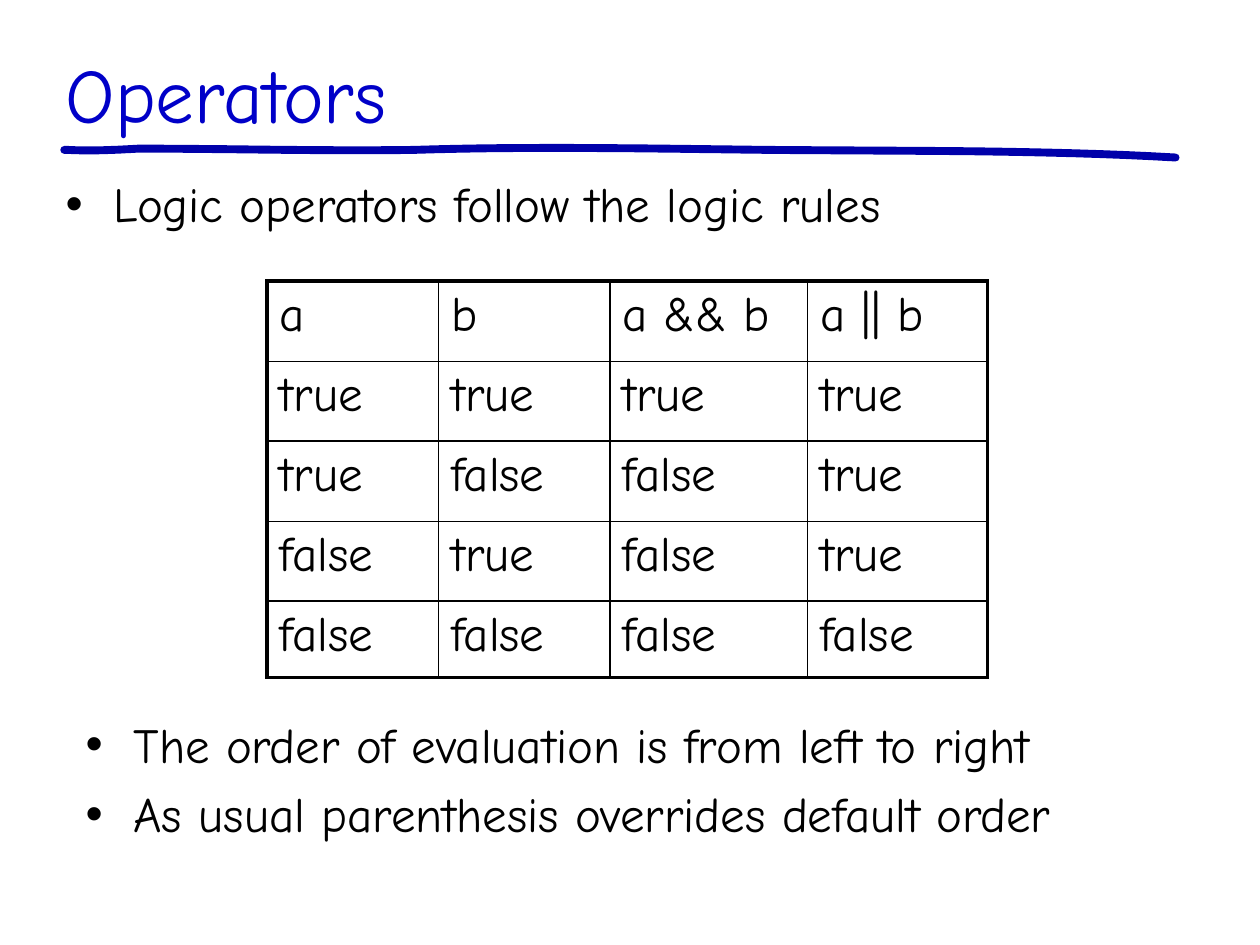
from lxml.etree import SubElement
from pptx import Presentation
from pptx.dml.color import RGBColor
from pptx.enum.text import MSO_ANCHOR, MSO_AUTO_SIZE, PP_ALIGN
from pptx.oxml.ns import qn
from pptx.util import Inches, Pt

COLORS = {"title": "0000C8", "rule": "0000AA", "ink": "000000"}
FONT = "Comic Neue"
BODY_SIZE = 28
THIN, THICK = 1, 2.25

TRUTH_TABLE = [
    ["a", "b", "a && b", "a || b"],
    ["true", "true", "true", "true"],
    ["true", "false", "false", "true"],
    ["false", "true", "false", "true"],
    ["false", "false", "false", "false"],
]
COLUMN_WIDTHS = [1.36, 1.36, 1.57, 1.43]
ROW_HEIGHTS = [0.64, 0.63, 0.64, 0.63, 0.61]

RULE_START = (0.51, 1.19)
RULE_CURVES = [
    [(0.52, 1.19), (0.52, 1.19), (0.54, 1.19)],
    [(0.73, 1.2), (0.91, 1.19), (1.1, 1.18)],
    [(1.83, 1.18), (2.55, 1.2), (3.28, 1.19)],
    [(4.23, 1.16), (5.17, 1.18), (6.12, 1.19)],
    [(7.2, 1.2), (8.27, 1.19), (9.33, 1.25)],
]


def place(holder, left, top, width, height):
    holder.left, holder.top = Inches(left), Inches(top)
    holder.width, holder.height = Inches(width), Inches(height)
    holder.text_frame.auto_size = MSO_AUTO_SIZE.NONE
    holder.text_frame.word_wrap = True


def add_text(paragraph, text, size=BODY_SIZE, color="ink"):
    paragraph.alignment = PP_ALIGN.LEFT
    run = paragraph.add_run()
    run.text = text
    run.font.name = FONT
    run.font.size = Pt(size)
    run.font.color.rgb = RGBColor.from_string(COLORS[color])


def set_title(title, text):
    place(title, 0.42, 0.3, 9.33, 0.87)
    title.text_frame.vertical_anchor = MSO_ANCHOR.MIDDLE
    add_text(title.text_frame.paragraphs[0], text, 44, "title")


def fill_bullets(body, box, items):
    place(body, *box)
    frame = body.text_frame
    frame.vertical_anchor = MSO_ANCHOR.TOP
    for index, item in enumerate(items):
        paragraph = frame.add_paragraph() if index else frame.paragraphs[0]
        properties = paragraph._p.get_or_add_pPr()
        properties.set("marL", str(Inches(0.38)))
        properties.set("indent", str(-Inches(0.38)))
        SubElement(properties, qn("a:buFont"), typeface="Arial")
        SubElement(properties, qn("a:buChar"), char="•")
        paragraph.space_before = Pt(6 if index else 0)
        add_text(paragraph, item)


def curve_points(start, curves, steps=16):
    points = []
    for first, second, end in curves:
        for step in range(1, steps + 1):
            t = step / steps
            points.append(tuple(
                Inches((1 - t) ** 3 * p + 3 * (1 - t) ** 2 * t * q
                       + 3 * (1 - t) * t ** 2 * r + t ** 3 * s)
                for p, q, r, s in zip(start, first, second, end)
            ))
        start = end
    return points


def add_title_rule(slide):
    start_x, start_y = RULE_START
    builder = slide.shapes.build_freeform(Inches(start_x), Inches(start_y))
    builder.add_line_segments(curve_points(RULE_START, RULE_CURVES), close=False)
    rule = builder.convert_to_shape()
    rule.shadow.inherit = False
    rule.fill.background()
    rule.line.color.rgb = RGBColor.from_string(COLORS["rule"])
    rule.line.width = Pt(4.5)
    outline = rule.line._get_or_add_ln()
    outline.set("cap", "rnd")
    SubElement(outline, qn("a:round"))
    slide.shapes._spTree.insert(2, rule._element)


def set_borders(cell, widths):
    properties = cell._tc.get_or_add_tcPr()
    for side, width in widths.items():
        border = SubElement(properties, qn(f"a:ln{side}"), w=str(Pt(width)))
        fill = SubElement(border, qn("a:solidFill"))
        SubElement(fill, qn("a:srgbClr"), val=COLORS["ink"])


def add_truth_table(slide):
    row_count, column_count = len(ROW_HEIGHTS), len(COLUMN_WIDTHS)
    table = slide.shapes.add_table(
        row_count, column_count, Inches(2.12), Inches(2.23),
        Inches(sum(COLUMN_WIDTHS)), Inches(sum(ROW_HEIGHTS)),
    ).table
    table.first_row = table.horz_banding = False
    for column, width in zip(table.columns, COLUMN_WIDTHS):
        column.width = Inches(width)
    for row, height in zip(table.rows, ROW_HEIGHTS):
        row.height = Inches(height)
    for r, values in enumerate(TRUTH_TABLE):
        for c, value in enumerate(values):
            cell = table.cell(r, c)
            add_text(cell.text_frame.paragraphs[0], value)
            set_borders(cell, {
                "L": THICK if c == 0 else THIN,
                "R": THICK if c == column_count - 1 else THIN,
                "T": THICK if r == 0 else THIN,
                "B": THICK if r == row_count - 1 else THIN,
            })
            cell.fill.background()


def main():
    presentation = Presentation()
    presentation.slide_width = Inches(10)
    presentation.slide_height = Inches(7.5)
    slide = presentation.slides.add_slide(presentation.slide_layouts[3])
    title, rules, evaluation = list(slide.placeholders)[:3]
    add_title_rule(slide)
    set_title(title, "Operators")
    fill_bullets(rules, (0.42, 1.33, 8.69, 0.87),
                 ["Logic operators follow the logic rules"])
    add_truth_table(slide)
    fill_bullets(evaluation, (0.58, 5.62, 9.13, 1.24), [
        "The order of evaluation is from left to right",
        "As usual parenthesis overrides default order",
    ])
    presentation.save("out.pptx")


if __name__ == "__main__":
    main()
